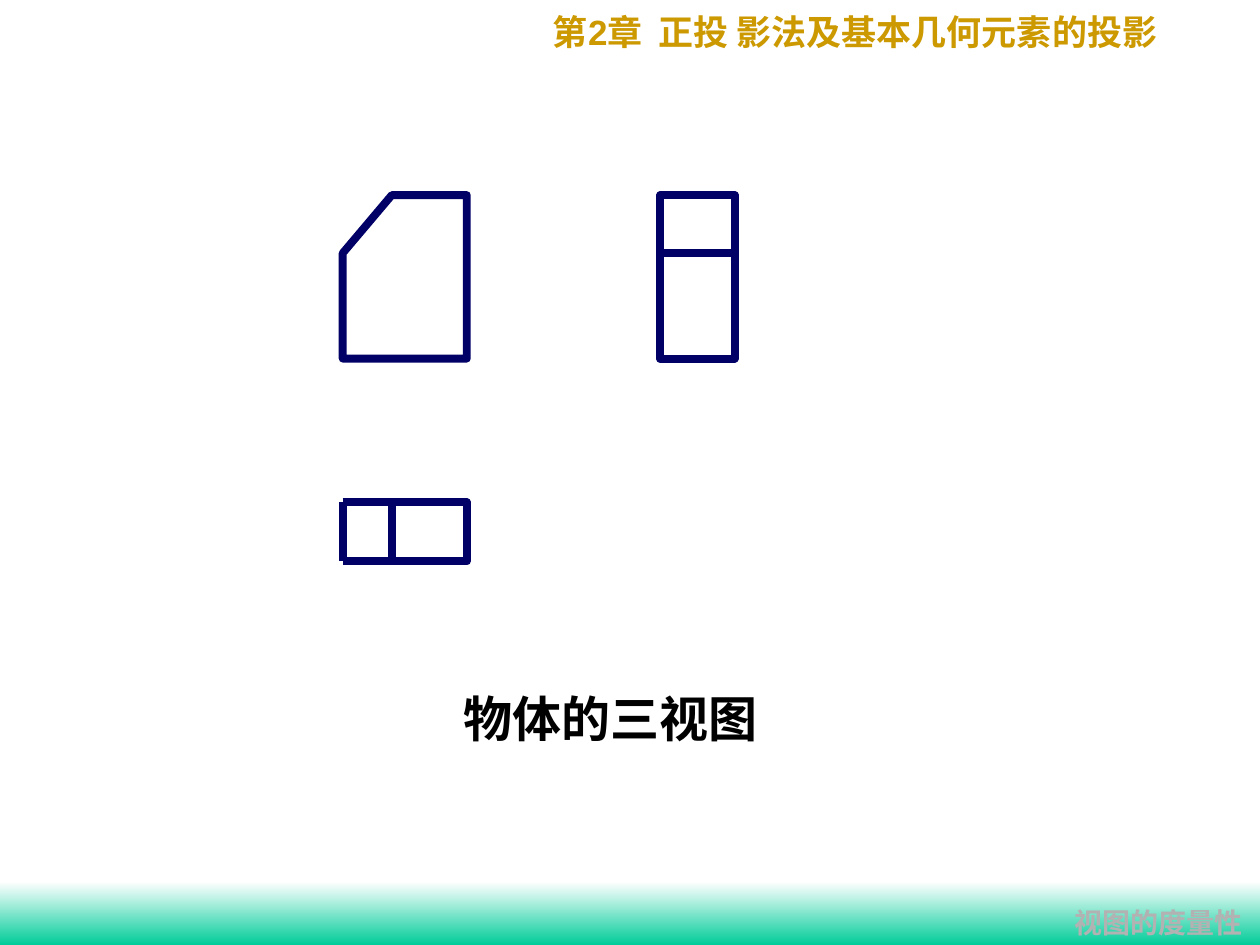
from dataclasses import dataclass

import pptx
import pptx.dml.color
import pptx.enum.dml
import pptx.enum.shapes
import pptx.enum.text
import pptx.oxml
import pptx.util

WIDTH = pptx.util.Inches(10)
HEIGHT = pptx.util.Inches(7.5)

# Drawing grid in percent of the slide, so that the three views stay aligned.
COLUMNS = {"left": 27.2, "chamfer": 31.1, "right": 37.05, "back": 52.4, "front": 58.3}
ROWS = {"top": 20.65, "shoulder": 26.8, "base": 37.95, "rear": 53.15, "face": 59.4}

OUTLINE = "000066"
OUTLINE_WIDTH = pptx.util.Pt(4.5)
CJK_FONT = "Times New Roman"

Node = tuple[str, str]


@dataclass
class Area:
    """A rectangle in percent of the slide."""
    left: float
    top: float
    width: float
    height: float


@dataclass
class Outline:
    nodes: list[Node]
    closed: bool = True


@dataclass
class Label:
    area: Area
    spans: list[tuple[str, str]]
    size: int
    colour: str
    anchor: str = "MIDDLE"
    align: str = "LEFT"
    wrap: bool = True


OUTLINES = [
    Outline([("left", "shoulder"), ("left", "base"), ("right", "base"),
             ("right", "top"), ("chamfer", "top")]),
    Outline([("left", "rear"), ("right", "rear"), ("right", "face"), ("left", "face")],
            closed=False),
    Outline([("back", "top"), ("back", "base"), ("front", "base"), ("front", "top")]),
]
EDGES: list[tuple[Node, Node]] = [
    (("left", "rear"), ("left", "face")),
    (("chamfer", "rear"), ("chamfer", "face")),
    (("back", "shoulder"), ("front", "shoulder")),
]

CHAPTER = Label(
    Area(42.9, 0.5, 52.9, 5.9),
    [("第", CJK_FONT), ("2", "Arial"), ("章  正投 影法及基本几何元素的投影", CJK_FONT)],
    20, "CC9900", anchor="TOP")
CAPTION = Label(Area(35.8, 70.95, 27.1, 10), [("物体的三视图", CJK_FONT)], 28, "000000")
TOPIC = Label(Area(84.3, 95.1, 15.3, 4.9), [("视图的度量性", CJK_FONT)], 16, "B2B2B2",
              align="CENTER", wrap=False)


def colour(code: str) -> pptx.dml.color.RGBColor:
    return pptx.dml.color.RGBColor.from_string(code)


def across(percent: float) -> int:
    return round(WIDTH * percent / 100)


def down(percent: float) -> int:
    return round(HEIGHT * percent / 100)


def place(area: Area) -> tuple[int, int, int, int]:
    return across(area.left), down(area.top), across(area.width), down(area.height)


def locate(node: Node) -> tuple[int, int]:
    column, row = node
    return across(COLUMNS[column]), down(ROWS[row])


def apply(target, formats: dict) -> None:
    for name, value in formats.items():
        setattr(target, name, value)


def style_line(shape) -> None:
    shape.line.color.rgb = colour(OUTLINE)
    shape.line.width = OUTLINE_WIDTH


def draw_outline(page, outline: Outline) -> None:
    start, *others = map(locate, outline.nodes)
    builder = page.shapes.build_freeform(*start)
    builder.add_line_segments(others, close=outline.closed)
    shape = builder.convert_to_shape()
    shape.shadow.inherit = False
    shape.fill.background()
    style_line(shape)


def draw_edge(page, start: Node, end: Node) -> None:
    edge = page.shapes.add_connector(
        pptx.enum.shapes.MSO_CONNECTOR.STRAIGHT, *locate(start), *locate(end))
    style_line(edge)
    edge._element.spPr.append(pptx.oxml.parse_xml(
        '<a:effectLst xmlns:a="http://schemas.openxmlformats.org/drawingml/2006/main"/>'))


def write_label(box, label: Label) -> None:
    left, top, width, height = place(label.area)
    apply(box, {"left": left, "top": top, "width": width, "height": height})
    apply(box.text_frame, {
        "word_wrap": label.wrap,
        "auto_size": pptx.enum.text.MSO_AUTO_SIZE.NONE,
        "vertical_anchor": pptx.enum.text.MSO_ANCHOR[label.anchor],
    })
    para = box.text_frame.paragraphs[0]
    apply(para, {"alignment": pptx.enum.text.PP_ALIGN[label.align],
                 "line_spacing": 1.0, "space_before": pptx.util.Pt(0)})
    for text, font in label.spans:
        span = para.add_run()
        span.text = text
        apply(span.font, {"name": font, "size": pptx.util.Pt(label.size), "bold": True})
        span.font.color.rgb = colour(label.colour)


def draw_footer_band(page) -> None:
    band = page.shapes.add_shape(
        pptx.enum.shapes.MSO_SHAPE.RECTANGLE, *place(Area(0, 93.33, 100, 6.67)))
    band.shadow.inherit = False
    band.line.fill.background()
    band.fill.gradient()
    band.fill.gradient_angle = 270
    for stop, code in zip(band.fill.gradient_stops, ("FFFFFF", "00CC99")):
        stop.color.rgb = colour(code)


def main() -> None:
    deck = pptx.Presentation()
    apply(deck, {"slide_width": WIDTH, "slide_height": HEIGHT})
    page = deck.slides.add_slide(deck.slide_layouts.get_by_name("Title Only"))
    draw_footer_band(page)
    for outline in OUTLINES:
        draw_outline(page, outline)
    for start, end in EDGES:
        draw_edge(page, start, end)
    write_label(page.shapes.title, CAPTION)
    for label in (CHAPTER, TOPIC):
        write_label(page.shapes.add_textbox(*place(label.area)), label)
    deck.save("out.pptx")


if __name__ == "__main__":
    main()
